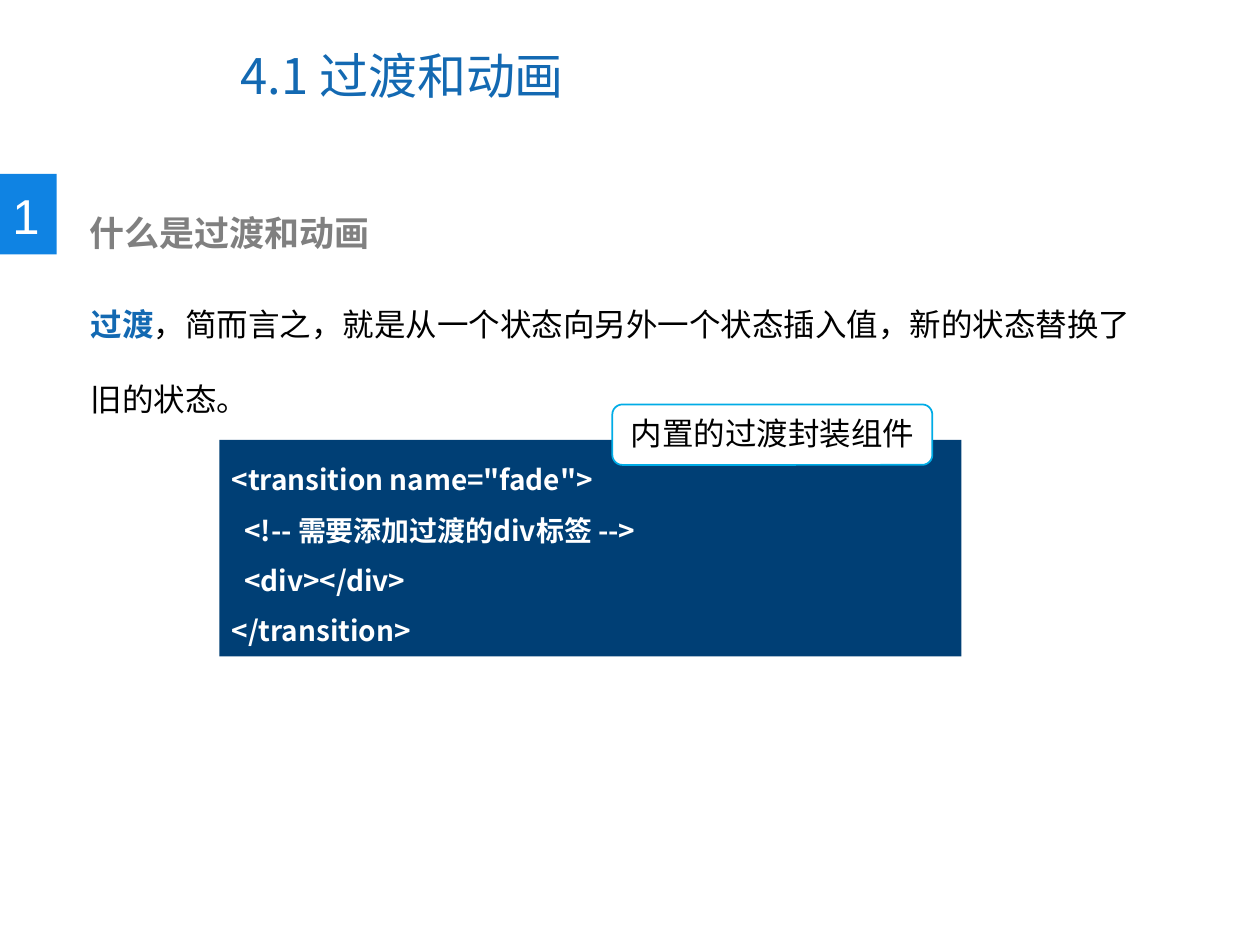
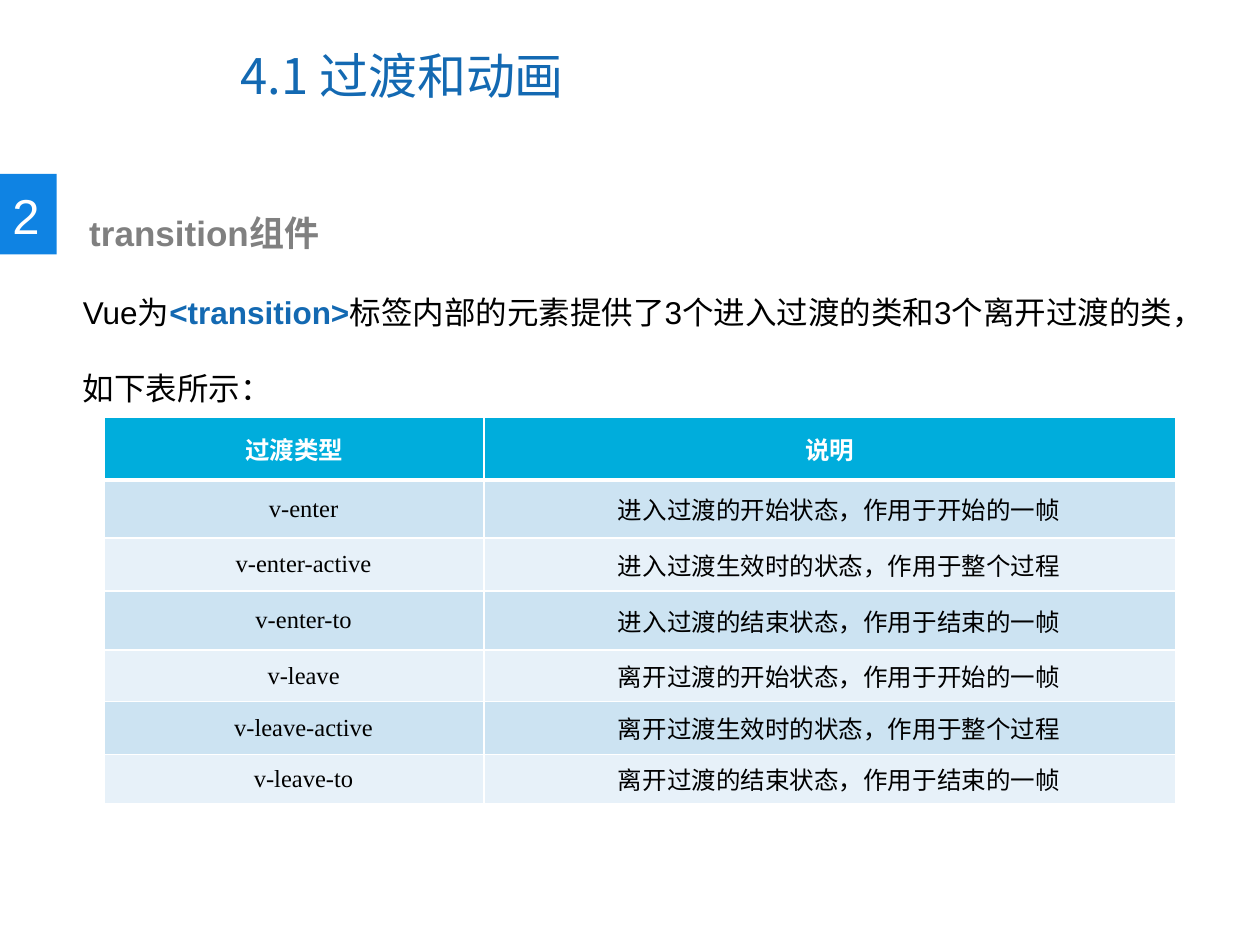
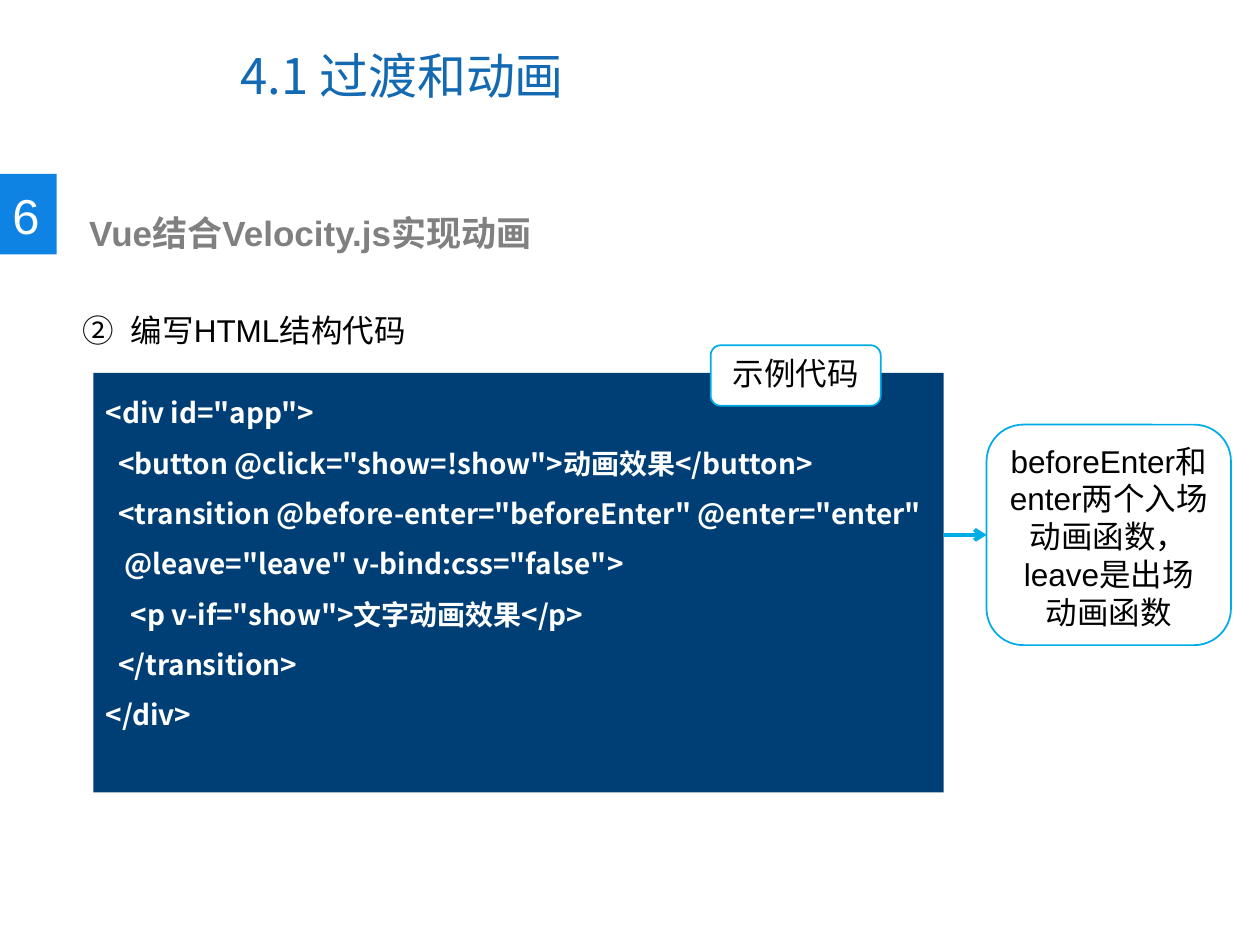
import pptx
import pptx.util
import pptx.dml.color
import pptx.enum.shapes
import pptx.enum.text
import pptx.oxml.ns
from lxml import etree

COLORS = {
    "title": "1369B2", "badge": "0F83E3", "heading": "808080", "text": "000000",
    "white": "FFFFFF", "code": "003F75", "accent": "00ACE6", "head_row": "00ADDC",
    "odd_row": "CCE3F2", "even_row": "E7F1F9",
}
SANS, CJK, SERIF = "Arial", "Noto Sans CJK SC", "Times New Roman"

# Text formats: size, font, colour, bold
STYLES = {
    "title": dict(size=28, name=CJK, color="title", bold=False),
    "badge": dict(size=28, name=SANS, color="white", bold=False),
    "heading": dict(size=20, name=SANS, color="heading", bold=True),
    "body": dict(size=18, name=SANS, color="text", bold=False),
    "key": dict(size=18, name=SANS, color="title", bold=True),
    "code": dict(size=16, name=CJK, color="white", bold=True),
    "th": dict(size=14, name=SERIF, color="white", bold=True),
    "td": dict(size=14, name=SERIF, color="text", bold=False),
}

# The slide is a grid of 100 columns and 75 rows
prs = pptx.Presentation()
prs.slide_width, prs.slide_height = pptx.util.Inches(10), pptx.util.Inches(7.5)
COL, ROW = prs.slide_width / 100, prs.slide_height / 75

RECT = pptx.enum.shapes.MSO_SHAPE.RECTANGLE
ROUND = pptx.enum.shapes.MSO_SHAPE.ROUNDED_RECTANGLE
CENTER = pptx.enum.text.PP_ALIGN.CENTER
LEFT = pptx.enum.text.PP_ALIGN.LEFT
TOP = pptx.enum.text.MSO_ANCHOR.TOP
MIDDLE = pptx.enum.text.MSO_ANCHOR.MIDDLE
SPACE = 0.5  # columns taken by one space of code


def rgb(key):
    return pptx.dml.color.RGBColor.from_string(COLORS[key])


def emu(box):
    x, y, w, h = box
    return [round(v) for v in (x * COL, y * ROW, w * COL, h * ROW)]


def sub(parent, tag, **attrs):
    return etree.SubElement(parent, pptx.oxml.ns.qn(tag), attrs)


def write(p, runs, align=LEFT, spacing=None, margin=0, indent=0):
    """Fill a paragraph with (text, style) runs."""
    for key, value in dict(alignment=align, line_spacing=spacing).items():
        setattr(p, key, value)
    pPr = p._p.get_or_add_pPr()
    for key, value in dict(marL=margin, indent=indent).items():
        pPr.set(key, str(round(value * COL)))
    for text, style in runs:
        r = p.add_run()
        r.text = text
        fmt = dict(STYLES[style])
        r.font.color.rgb = rgb(fmt.pop("color"))
        fmt["size"] = pptx.util.Pt(fmt["size"])
        for key, value in fmt.items():
            setattr(r.font, key, value)
        sub(r._r.get_or_add_rPr(), "a:ea", typeface=CJK)


def add_text(s, box, runs, anchor=TOP, **layout):
    tf = s.shapes.add_textbox(*emu(box)).text_frame
    tf.word_wrap, tf.vertical_anchor = True, anchor
    write(tf.paragraphs[0], runs, **layout)
    return tf.paragraphs[0]


def add_box(s, kind, box, fill, line=None):
    sp = s.shapes.add_shape(kind, *emu(box))
    sp.shadow.inherit = False
    sp.fill.solid()
    sp.fill.fore_color.rgb = rgb(fill)
    if line:
        sp.line.color.rgb, sp.line.width = rgb(line), pptx.util.Pt(1)
    else:
        sp.line.fill.background()
    sp.text_frame.word_wrap, sp.text_frame.vertical_anchor = True, TOP
    return sp


def section_slide(number, heading):
    """Blank slide with the title, the number badge and the heading."""
    s = prs.slides.add_slide(prs.slide_layouts[6])
    add_text(s, (18.1, 1.7, 51.6, 8.5), [("4.1 过渡和动画", "title")], MIDDLE)
    add_box(s, RECT, (0, 13.8, 4.5, 6.4), "badge")
    add_text(s, (0, 14.2, 4.5, 5.7), [(number, "badge")])
    add_text(s, (4.7, 16.3, 51.4, 4.4), [(heading, "heading")], margin=1.4)
    return s


def label(s, box, text):
    """White rounded box with centred text."""
    sp = add_box(s, ROUND, box, "white", "accent")
    write(sp.text_frame.paragraphs[0], [(text, "body")], CENTER)
    return sp


def code_panel(s, box, lines, tag, tag_box):
    """Code on a dark panel; lines are (spaces, code), tag_box is relative to box."""
    tf = add_box(s, RECT, box, "code").text_frame
    for i, (spaces, code) in enumerate(lines):
        p = tf.add_paragraph() if i else tf.paragraphs[0]
        write(p, [(code, "code")], spacing=1.5, margin=spaces * SPACE)
    dx, dy, w, h = tag_box
    label(s, (box[0] + dx, box[1] + dy, w, h), tag)


def arrow_to(s, x, y, target):
    """Arrow from a grid point to the left side of a box."""
    start = round(x * COL), round(y * ROW)
    line = s.shapes.add_connector(pptx.enum.shapes.MSO_CONNECTOR.STRAIGHT, *start, *start)
    line.end_connect(target, 1)
    line.line.color.rgb, line.line.width = rgb("accent"), pptx.util.Pt(2.25)
    sub(line.line._get_or_add_ln(), "a:tailEnd", type="arrow")
    sub(line._element.spPr, "a:effectLst")


def add_borders(cell, widths):
    tcPr = cell._tc.get_or_add_tcPr()
    for side, width in widths.items():
        ln = sub(tcPr, f"a:ln{side}", w=str(pptx.util.Pt(width)))
        sub(sub(ln, "a:solidFill"), "a:srgbClr", val=COLORS["white"])


def class_table(s, box, widths, heights, rows):
    """Banded table with a header row."""
    table = s.shapes.add_table(len(rows), len(widths), *emu(box)).table
    for column, width in zip(table.columns, widths):
        column.width = round(width * COL)
    for i, (height, texts) in enumerate(zip(heights, rows)):
        table.rows[i].height = round(height * ROW)
        fill = "head_row" if i == 0 else "odd_row" if i % 2 else "even_row"
        for j, text in enumerate(texts):
            cell = table.cell(i, j)
            side = round((0.7 if i else 0.8) * COL)
            fmt = dict(margin_left=side, margin_right=side, margin_top=0,
                       margin_bottom=0, vertical_anchor=MIDDLE)
            for key, value in fmt.items():
                setattr(cell, key, value)
            add_borders(cell, dict(L=1, R=1, T=3 if i == 1 else 1, B=1 if i else 3))
            cell.fill.solid()
            cell.fill.fore_color.rgb = rgb(fill)
            write(cell.text_frame.paragraphs[0], [(text, "td" if i else "th")],
                  CENTER, indent=1.5 if i else 0)


def intro_slide():
    s = section_slide("1", "什么是过渡和动画")
    add_text(s, (6.2, 20.7, 86.5, 13.1), [
        ("过渡", "key"),
        ("，简而言之，就是从一个状态向另外一个状态插入值，新的状态替换了旧的状态。", "body"),
    ], spacing=2.0)
    code_panel(s, (17.4, 34.9, 58.9, 17.2), [
        (0, '<transition name="fade">'),
        (2, "<!-- 需要添加过渡的div标签 -->"),
        (2, "<div></div>"),
        (0, "</transition>"),
    ], "内置的过渡封装组件", (31.2, -2.8, 25.4, 4.8))


def classes_slide():
    s = section_slide("2", "transition组件")
    class_table(s, (8.3, 33.1, 85, 30.7), (30.1, 54.9),
                (5, 4.6, 4.2, 4.7, 4.1, 4.2, 3.9), [
        ("过渡类型", "说明"),
        ("v-enter", "进入过渡的开始状态，作用于开始的一帧"),
        ("v-enter-active", "进入过渡生效时的状态，作用于整个过程"),
        ("v-enter-to", "进入过渡的结束状态，作用于结束的一帧"),
        ("v-leave", "离开过渡的开始状态，作用于开始的一帧"),
        ("v-leave-active", "离开过渡生效时的状态，作用于整个过程"),
        ("v-leave-to", "离开过渡的结束状态，作用于结束的一帧"),
    ])
    add_text(s, (5.6, 19.8, 92, 13.1), [
        ("Vue为", "body"),
        ("<transition>", "key"),
        ("标签内部的元素提供了3个进入过渡的类和3个离开过渡的类，如下表所示：", "body"),
    ], spacing=2.0)


def example_slide():
    s = section_slide("6", "Vue结合Velocity.js实现动画")
    step = add_text(s, (5.6, 21.2, 88.2, 7.1), [("编写HTML结构代码", "body")],
                    spacing=2.0, margin=3.8, indent=-3.8)
    sub(step._p.get_or_add_pPr(), "a:buAutoNum", type="circleNumDbPlain", startAt="2")
    code_panel(s, (7.4, 29.6, 67.5, 33.3), [
        (0, '<div id="app">'),
        (2, '<button @click="show=!show">动画效果</button>'),
        (2, '<transition @before-enter="beforeEnter" @enter="enter"'),
        (3, '@leave="leave" v-bind:css="false">'),
        (4, '<p v-if="show">文字动画效果</p>'),
        (2, "</transition>"),
        (0, "</div>"),
    ], "示例代码", (49, -2.2, 13.5, 4.8))
    callout = label(s, (78.3, 33.7, 19.4, 17.5),
                    "beforeEnter和enter两个入场动画函数，leave是出场动画函数")
    arrow_to(s, 74.9, 42.45, callout)


def main():
    intro_slide()
    classes_slide()
    example_slide()
    prs.save("out.pptx")


if __name__ == "__main__":
    main()
